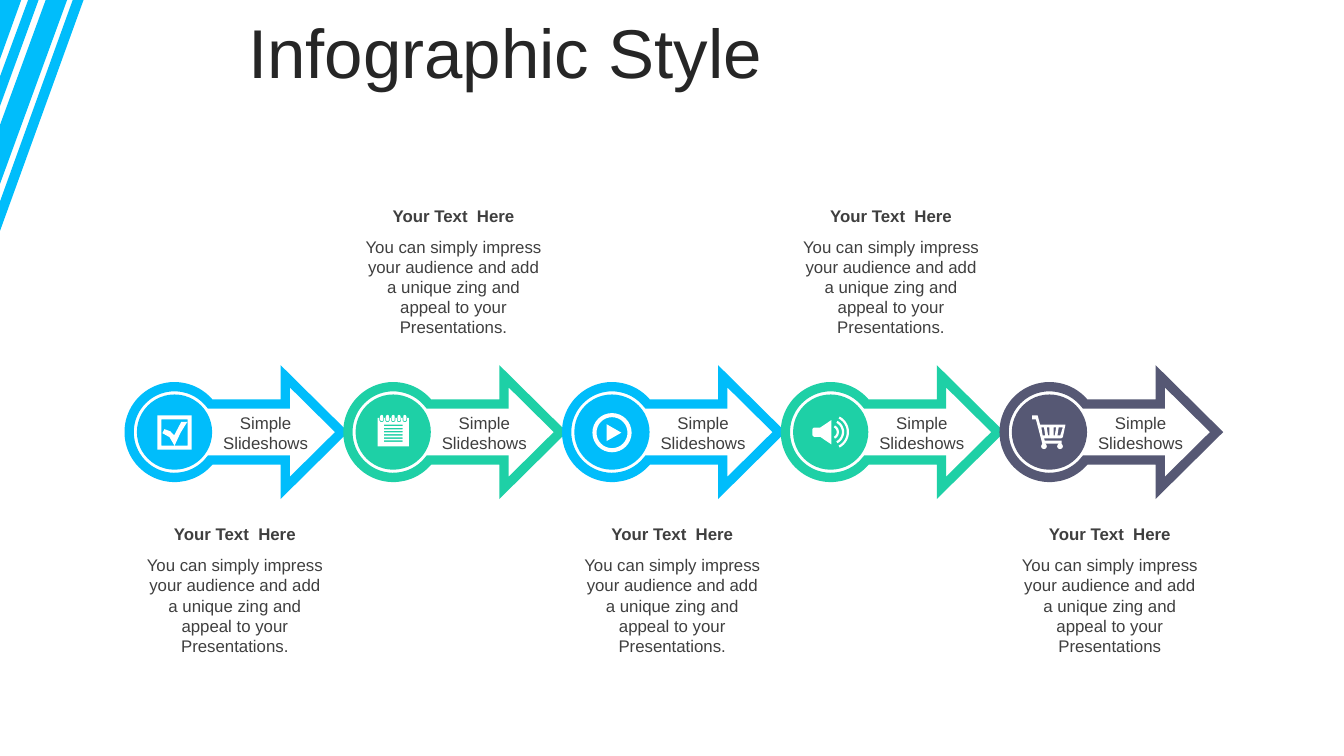
from dataclasses import dataclass
from math import asin, cos, degrees, radians, sin

from lxml.etree import SubElement
from pptx import Presentation
from pptx.dml.color import RGBColor as Rgb
from pptx.enum.shapes import MSO_SHAPE as Preset
from pptx.enum.text import MSO_ANCHOR as Anchor, MSO_AUTO_SIZE as AutoSize, PP_ALIGN as Align
from pptx.oxml.ns import qn
from pptx.shapes.base import BaseShape
from pptx.slide import Slide
from pptx.text.text import TextFrame
from pptx.util import Pt

Point = tuple[float, float]
Contour = list[Point]


@dataclass(frozen=True)
class Theme:
    font: str = "Arial"
    blue: Rgb = Rgb(0x00, 0xBD, 0xFB)
    green: Rgb = Rgb(0x1E, 0xD0, 0xA6)
    slate: Rgb = Rgb(0x56, 0x58, 0x74)
    white: Rgb = Rgb(0xFF, 0xFF, 0xFF)
    title_color: Rgb = Rgb(0x26, 0x26, 0x26)
    text_color: Rgb = Rgb(0x3F, 0x3F, 0x3F)
    title_size: float = 37
    text_size: float = 9


@dataclass(frozen=True)
class Box:
    left: float
    top: float
    width: float
    height: float

    def lengths(self) -> tuple[Pt, Pt, Pt, Pt]:
        return Pt(self.left), Pt(self.top), Pt(self.width), Pt(self.height)


@dataclass(frozen=True)
class Step:
    color: Rgb
    icon: list[Contour]
    caption_top: float
    caption: str


THEME = Theme()
FIRST_LEFT, PITCH = 69.2, 117.18
AXIS = 231.5
HUB_RADIUS, DISC_RADIUS = 24.3, 20.15
SHAFT_HALF, HEAD_HALF = 15, 29.9
HEAD_BASE, ARROW_LENGTH = 83.6, 113.8
ABOVE, BELOW = 107.3, 278
CAPTION = ("You can simply impress your audience and add a unique zing "
           "and appeal to your Presentations")
# Each stripe runs from the top edge (two x values) to the left edge (two y values).
STRIPES = [(0, 11.4, 0, 31.7), (15.1, 20.7, 41, 56.9),
           (24.5, 36, 67, 98.6), (39, 44.8, 108, 123.8)]


def arc(x: float, y: float, radius: float, start: float, end: float, steps: int = 32) -> Contour:
    """Points from start to end, in degrees clockwise from the right."""
    angles = [radians(start + (end - start) * i / steps) for i in range(steps + 1)]
    return [(x + radius * cos(a), y + radius * sin(a)) for a in angles]


def rectangle(left: float, top: float, right: float, bottom: float) -> Contour:
    return [(left, top), (right, top), (right, bottom), (left, bottom)]


def check_icon() -> list[Contour]:
    tick = [(-6.5, 0.6), (-5.4, -1.6), (-2.2, -0.4), (-0.2, 1.8), (3.6, -5.4),
            (6.8, -5.4), (3.2, 0.4), (0, 7.3), (-2.7, 2.7)]
    return [rectangle(-9.2, -9, 9.2, 9.4), rectangle(-7, -6.8, 7, 7.2), tick]


def notepad_icon() -> list[Contour]:
    contours = [rectangle(-8.3, -7.6, 8.3, 7.6)]
    for i in range(6):
        y = -3.6 + 1.7 * i
        contours.append(rectangle(-5, y - 0.4, 5, y + 0.4))
    for i in range(-2, 3):
        x = 3.1 * i
        contours.append([(x + 1.2, -7.6), *arc(x, -6.5, 1.2, 0, 180, 8), (x - 1.2, -7.6)])
        contours.append(arc(x, -6.7, 0.8, 0, 180, 8) + arc(x, -8.4, 0.8, 180, 360, 8))
    return contours


def play_icon() -> list[Contour]:
    triangle = [(-2.9, -4.2), (5, 0.3), (-2.9, 4.8)]
    return [arc(0, 0.3, 10.5, 0, 360), arc(0, 0.3, 8.3, 0, 360), triangle]


def speaker_icon() -> list[Contour]:
    horn = [(0.3, -6.4), (0.3, 6.6), (-5.6, 2.6), (-9, 2.6), (-9.8, 1.8),
            (-9.8, -1.6), (-9, -2.4), (-5.6, -2.4)]
    waves = [arc(0.4, 0, r, -62, 62) + arc(0.4, 0, r - 1.2, 62, -62) for r in (4, 6.8, 9.4)]
    return [horn, *waves]


def cart_icon() -> list[Contour]:
    frame = [(-9.2, -9), (-6.3, -9), (-5, -4), (8.6, -4), (7.2, 2.7), (6.4, 3.3),
             (-2.9, 3.3), (-2.5, 4.6), (6.6, 4.6), (6.6, 6.2), (-3.8, 6.2),
             (-7.2, -6.8), (-9.2, -6.8)]
    slots = [(-4.3, -2.9, -2.2, -3.6), (-1.4, 0, 0, -0.7),
             (2.2, 3.6, 2.9, 2.2), (5, 7.2, 5.8, 4.3)]
    holes = [[(a, -2.5), (b, -2.5), (c, 1.8), (d, 1.8)] for a, b, c, d in slots]
    return [frame, *holes, *(arc(x, 7.6, 1.5, 0, 360, 16) for x in (-2.9, 5.7))]


def paint(shape: BaseShape, fill: Rgb) -> None:
    shape.shadow.inherit = False
    shape.fill.solid()
    shape.fill.fore_color.rgb = fill
    shape.line.fill.background()


def add_outline(slide: Slide, contours: list[Contour], fill: Rgb,
                origin: Point = (0, 0)) -> BaseShape:
    """Draw closed contours as one shape; nested contours become holes."""
    placed = [[(Pt(origin[0] + x), Pt(origin[1] + y)) for x, y in c] for c in contours]
    builder = slide.shapes.build_freeform(*placed[0][0])
    for i, points in enumerate(placed):
        if i:
            builder.move_to(*points[0])
        builder.add_line_segments(points[1:], close=True)
    shape = builder.convert_to_shape()
    paint(shape, fill)
    return shape


def write(frame: TextFrame, text: str, size: float, color: Rgb,
          bold: bool = False, anchor: Anchor = Anchor.TOP) -> None:
    frame.word_wrap = True
    frame.auto_size = AutoSize.NONE
    frame.vertical_anchor = anchor
    frame.margin_left = frame.margin_right = Pt(5)
    frame.margin_top = frame.margin_bottom = Pt(2.7)
    para = frame.paragraphs[0]
    para.alignment = Align.CENTER
    span = para.add_run()
    span.text = text
    span.font.name, span.font.size = THEME.font, Pt(size)
    span.font.bold = bold
    span.font.color.rgb = color


def add_text(slide: Slide, box: Box, text: str, bold: bool = False,
             anchor: Anchor = Anchor.TOP) -> None:
    frame = slide.shapes.add_textbox(*box.lengths()).text_frame
    write(frame, text, THEME.text_size, THEME.text_color, bold, anchor)


def add_title(slide: Slide, text: str) -> None:
    title = slide.shapes.title
    title.left, title.top, title.width, title.height = Box(14.4, 15.1, 512.6, 32.4).lengths()
    write(title.text_frame, text, THEME.title_size, THEME.title_color, anchor=Anchor.MIDDLE)
    title.text_frame.paragraphs[0].line_spacing = 0.8


def add_arrow(slide: Slide, left: float, color: Rgb) -> None:
    neck = degrees(asin(SHAFT_HALF / HUB_RADIUS))
    contour = [(HEAD_BASE, -HEAD_HALF), (ARROW_LENGTH, 0), (HEAD_BASE, HEAD_HALF),
               (HEAD_BASE, SHAFT_HALF), *arc(HUB_RADIUS, 0, HUB_RADIUS, neck, 360 - neck, 64),
               (HEAD_BASE, -SHAFT_HALF)]
    arrow = add_outline(slide, [contour], THEME.white, (left, AXIS))
    arrow.line.color.rgb = color
    arrow.line.width = Pt(5)
    SubElement(arrow.element.spPr.find(qn("a:ln")), qn("a:miter"), lim="800000")


def add_step(slide: Slide, left: float, step: Step) -> None:
    add_arrow(slide, left, step.color)
    hub = left + HUB_RADIUS
    disc = Box(hub - DISC_RADIUS, AXIS - DISC_RADIUS, 2 * DISC_RADIUS, 2 * DISC_RADIUS)
    paint(slide.shapes.add_shape(Preset.OVAL, *disc.lengths()), step.color)
    add_outline(slide, step.icon, THEME.white, (hub, AXIS))
    add_text(slide, Box(left + 44.6, 218.2, 56.9, 27.4), "Simple Slideshows",
             anchor=Anchor.MIDDLE)
    add_text(slide, Box(left + 2.9, step.caption_top, 107.3, 16.6), "Your Text  Here", bold=True)
    add_text(slide, Box(left + 2.9, step.caption_top + 16.6, 107.3, 59.8), step.caption)


def main() -> None:
    deck = Presentation()
    deck.slide_width, deck.slide_height = Pt(720), Pt(405)
    page = deck.slides.add_slide(deck.slide_layouts.get_by_name("Title Only"))
    stripes = [[(x1, 0), (x2, 0), (0, y2), (0, y1)] for x1, x2, y1, y2 in STRIPES]
    add_outline(page, stripes, THEME.blue)
    add_title(page, "Infographic Style")
    steps = [
        Step(THEME.blue, check_icon(), BELOW, CAPTION + "."),
        Step(THEME.green, notepad_icon(), ABOVE, CAPTION + "."),
        Step(THEME.blue, play_icon(), BELOW, CAPTION + "."),
        Step(THEME.green, speaker_icon(), ABOVE, CAPTION + "."),
        Step(THEME.slate, cart_icon(), BELOW, CAPTION),
    ]
    for i, step in enumerate(steps):
        add_step(page, FIRST_LEFT + PITCH * i, step)
    deck.save("out.pptx")


if __name__ == "__main__":
    main()
